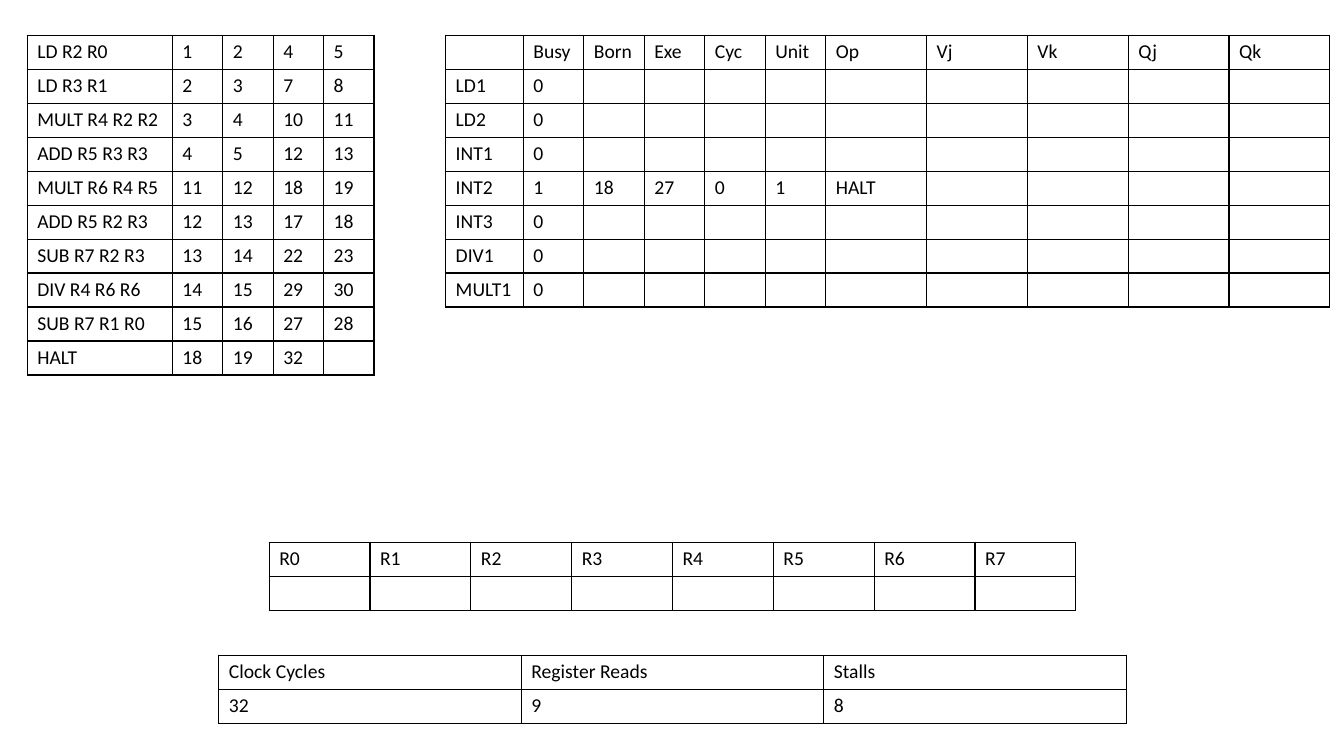
from lxml.etree import SubElement
from pptx import Presentation
from pptx.dml.color import RGBColor
from pptx.oxml.ns import qn
from pptx.util import Inches, Pt

COLORS = {"ink": "000000"}
FONT = {"name": "Calibri", "size": Pt(14), "bold": False}
ROW_HEIGHT = 0.3

INSTRUCTIONS = [
    ["LD R2 R0", 1, 2, 4, 5],
    ["LD R3 R1", 2, 3, 7, 8],
    ["MULT R4 R2 R2", 3, 4, 10, 11],
    ["ADD R5 R3 R3", 4, 5, 12, 13],
    ["MULT R6 R4 R5", 11, 12, 18, 19],
    ["ADD R5 R2 R3", 12, 13, 17, 18],
    ["SUB R7 R2 R3", 13, 14, 22, 23],
    ["DIV R4 R6 R6", 14, 15, 29, 30],
    ["SUB R7 R1 R0", 15, 16, 27, 28],
    ["HALT", 18, 19, 32],
]
STATIONS = [
    ["", "Busy", "Born", "Exe", "Cyc", "Unit", "Op", "Vj", "Vk", "Qj", "Qk"],
    ["LD1", 0],
    ["LD2", 0],
    ["INT1", 0],
    ["INT2", 1, 18, 27, 0, 1, "HALT"],
    ["INT3", 0],
    ["DIV1", 0],
    ["MULT1", 0],
]
REGISTERS = [[f"R{i}" for i in range(8)], []]
TOTALS = [["Clock Cycles", "Register Reads", "Stalls"], [32, 9, 8]]


def add_borders(cell):
    tcPr = cell._tc.get_or_add_tcPr()
    for i, side in enumerate(("lnL", "lnR", "lnT", "lnB")):
        ln = tcPr.makeelement(qn(f"a:{side}"), {"w": str(Pt(1))})
        fill = SubElement(ln, qn("a:solidFill"))
        SubElement(fill, qn("a:srgbClr"), val=COLORS["ink"])
        tcPr.insert(i, ln)


def fill_cell(cell, value):
    cell.fill.background()
    add_borders(cell)
    p = cell.text_frame.paragraphs[0]
    if value != "":
        r = p.add_run()
        r.text = str(value)
        for name, setting in FONT.items():
            setattr(r.font, name, setting)
        r.font.color.rgb = RGBColor.from_string(COLORS["ink"])
    else:
        SubElement(p._p, qn("a:endParaRPr"), sz=str(FONT["size"].centipoints))


def add_grid(s, left, top, widths, rows):
    shape = s.shapes.add_table(
        len(rows), len(widths), Inches(left), Inches(top),
        Inches(sum(widths)), Inches(ROW_HEIGHT * len(rows)))
    table = shape.table
    table.first_row = table.horz_banding = False
    for column, width in zip(table.columns, widths):
        column.width = Inches(width)
    for i, values in enumerate(rows):
        table.rows[i].height = Inches(ROW_HEIGHT)
        for j in range(len(widths)):
            fill_cell(table.cell(i, j), values[j] if j < len(values) else "")


def main():
    """Build the slide of processor state tables."""
    prs = Presentation()
    prs.slide_width, prs.slide_height = Inches(13.33), Inches(7.5)
    s = prs.slides.add_slide(prs.slide_layouts[6])
    add_grid(s, 0.27, 0.35, [1.44] + [0.5] * 4, INSTRUCTIONS)
    add_grid(s, 4.42, 0.35, [0.77] + [0.6] * 5 + [1] * 5, STATIONS)
    add_grid(s, 2.67, 5.38, [1] * 8, REGISTERS)
    add_grid(s, 2.17, 6.5, [3] * 3, TOTALS)
    prs.save("out.pptx")


if __name__ == "__main__":
    main()
